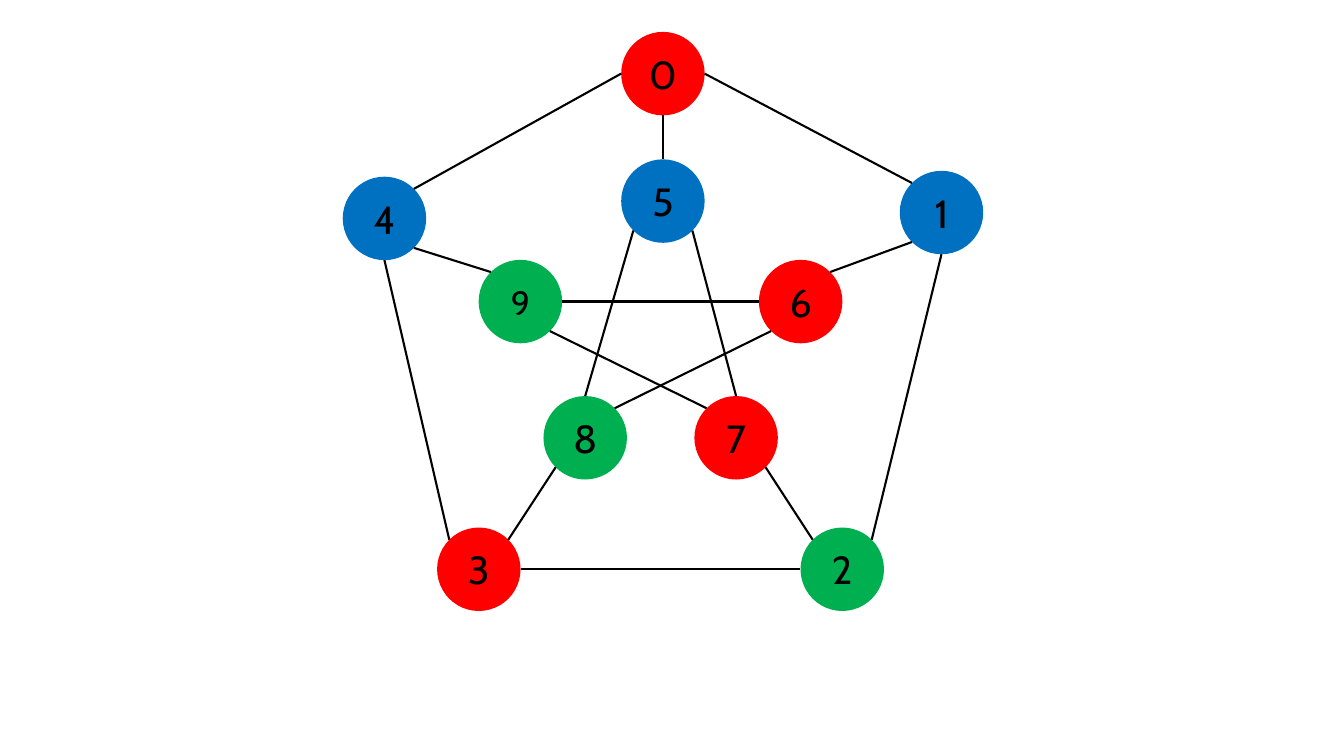
import math

import pptx
import pptx.dml.color
import pptx.enum.shapes
import pptx.enum.text
import pptx.oxml
import pptx.util

Pt = pptx.util.Pt

RED, BLUE, GREEN, BLACK = "FF0000", "0070C0", "00B050", "000000"
DIAMETER = 59.6

# label: (centre x, centre y, fill, text size)
VERTICES = {
    "0": (473.5, 52.6, RED, 28),
    "6": (571.9, 215.4, RED, 28),
    "3": (342, 406.6, RED, 28),
    "7": (525.8, 312.7, RED, 28),
    "5": (473.5, 143.6, BLUE, 28),
    "4": (274.6, 156, BLUE, 28),
    "1": (672.5, 151.8, BLUE, 28),
    "9": (371.7, 215.4, GREEN, 24),
    "8": (418, 312.7, GREEN, 28),
    "2": (601.6, 406.6, GREEN, 28),
}

# (vertex, side it leaves from, vertex, side it arrives at)
EDGES = [
    ("5", "SE", "7", "N"),
    ("3", "NE", "8", "SW"),
    ("6", "NE", "1", "SW"),
    ("0", "S", "5", "N"),
    ("7", "SE", "2", "NW"),
    ("1", "S", "2", "NE"),
    ("0", "E", "1", "NW"),
    ("3", "E", "2", "W"),
    ("5", "SW", "8", "N"),
    ("9", "E", "6", "W"),
    ("6", "SW", "8", "NE"),
    ("9", "SE", "7", "NW"),
    ("4", "SE", "9", "NW"),
    ("4", "S", "3", "NW"),
    ("0", "W", "4", "NE"),
]
COMPASS = ["E", "SE", "S", "SW", "W", "NW", "N", "NE"]


def color(code):
    return pptx.dml.color.RGBColor.from_string(code)


def apply(target, values):
    for name, value in values.items():
        setattr(target, name, value)


def rim_point(label, side):
    """Return the point on a vertex circle in a compass direction."""
    x, y = VERTICES[label][:2]
    angle = COMPASS.index(side) * math.pi / 4
    radius = DIAMETER / 2
    return Pt(x + radius * math.cos(angle)), Pt(y + radius * math.sin(angle))


def add_vertex(slide, label):
    x, y, fill, size = VERTICES[label]
    circle = slide.shapes.add_shape(
        pptx.enum.shapes.MSO_SHAPE.OVAL,
        Pt(x - DIAMETER / 2), Pt(y - DIAMETER / 2), Pt(DIAMETER), Pt(DIAMETER))
    circle.shadow.inherit = False
    circle.fill.solid()
    circle.fill.fore_color.rgb = color(fill)
    circle.line.fill.background()
    circle.text_frame.vertical_anchor = pptx.enum.text.MSO_ANCHOR.MIDDLE
    para = circle.text_frame.paragraphs[0]
    para.alignment = pptx.enum.text.PP_ALIGN.CENTER
    span = para.add_run()
    span.text = label
    apply(span.font, {"name": "Cabin", "size": Pt(size)})
    span.font.color.rgb = color(BLACK)


def add_edge(slide, start, start_side, end, end_side):
    edge = slide.shapes.add_connector(
        pptx.enum.shapes.MSO_CONNECTOR.STRAIGHT,
        *rim_point(start, start_side), *rim_point(end, end_side))
    edge.line.width = Pt(1.5)
    edge.line.color.rgb = color(BLACK)
    edge._element.spPr.append(pptx.oxml.parse_xml(
        '<a:effectLst xmlns:a="http://schemas.openxmlformats.org/drawingml/2006/main"/>'))


def main():
    deck = pptx.Presentation()
    apply(deck, {"slide_width": Pt(960), "slide_height": Pt(540)})
    slide = deck.slides.add_slide(deck.slide_layouts[6])
    for label in VERTICES:
        add_vertex(slide, label)
    for edge in EDGES:
        add_edge(slide, *edge)
    deck.save("out.pptx")


if __name__ == "__main__":
    main()
